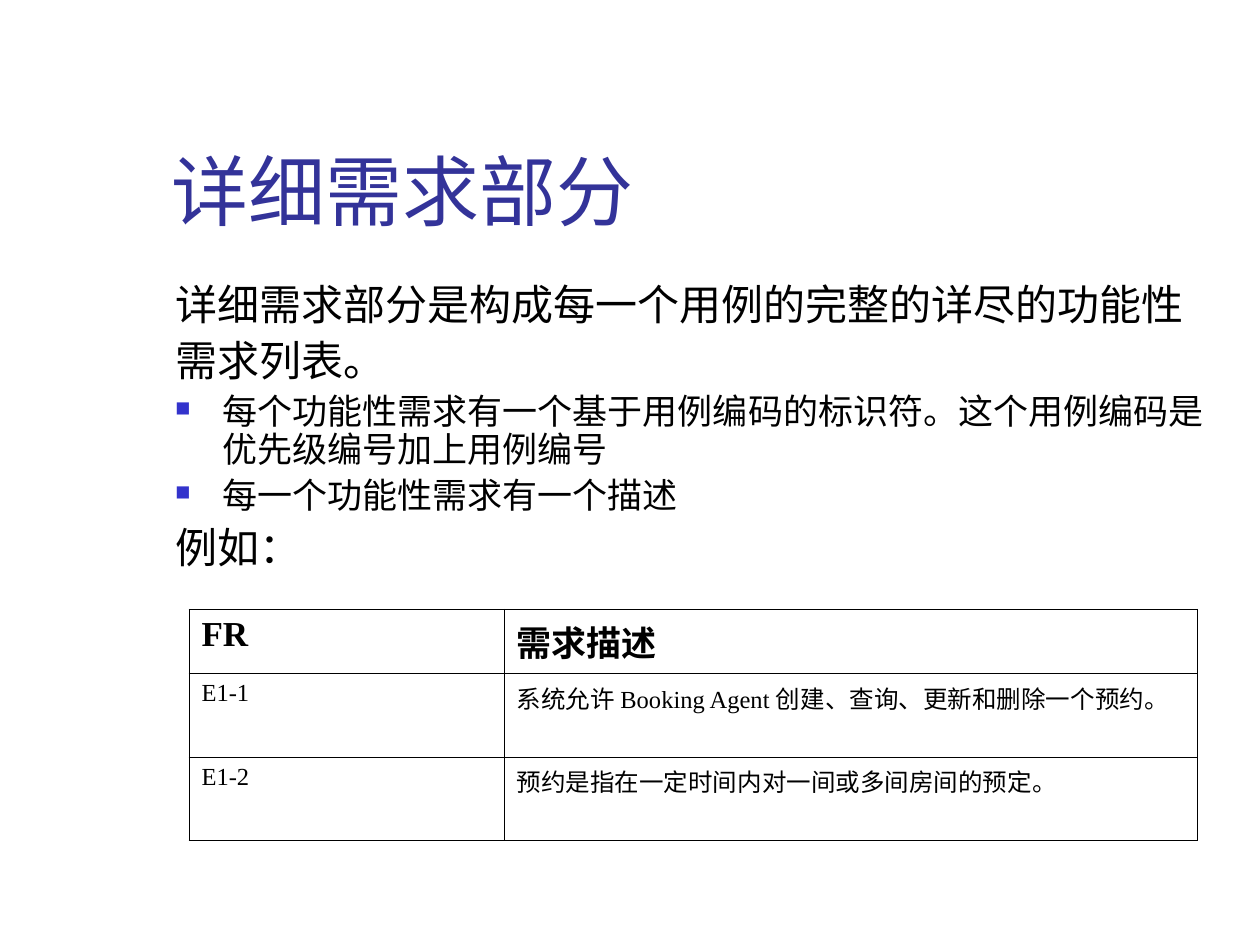
"""Build the slide on the detailed requirements section of a use case."""
from lxml.etree import SubElement
from pptx import Presentation
from pptx.dml.color import RGBColor
from pptx.enum.text import MSO_ANCHOR, MSO_AUTO_SIZE, PP_ALIGN
from pptx.oxml.ns import qn
from pptx.util import Cm, Pt


def color(value):
    """Turn a hex string into a colour."""
    return RGBColor.from_string(value)


def write(paragraph, text, size=24, fill="000000", bold=False, before=0, spacing=1.0):
    """Put formatted text into a paragraph."""
    paragraph.alignment = PP_ALIGN.LEFT
    paragraph.line_spacing = spacing
    paragraph.space_before = Pt(before)
    run = paragraph.add_run()
    run.text = text
    run.font.name = "Times New Roman"
    run.font.size = Pt(size)
    run.font.bold = bold
    run.font.color.rgb = color(fill)


presentation = Presentation()
presentation.slide_width, presentation.slide_height = Cm(25.4), Cm(19.05)
slide = presentation.slides.add_slide(presentation.slide_layouts[5])

title = slide.shapes.title
title.left, title.top, title.width, title.height = Cm(3.2), Cm(1.7), Cm(21.64), Cm(3.18)
title.text_frame.auto_size = MSO_AUTO_SIZE.NONE
title.text_frame.vertical_anchor = MSO_ANCHOR.BOTTOM
write(title.text_frame.paragraphs[0], "详细需求部分", size=44, fill="333399")

body = slide.shapes.add_textbox(Cm(3.28), Cm(5.61), Cm(21.59), Cm(6.25))
body.text_frame.word_wrap = True
body_lines = [
    ("详细需求部分是构成每一个用例的完整的详尽的功能性", False),
    ("需求列表。", False),
    ("每个功能性需求有一个基于用例编码的标识符。这个用例编码是优先级编号加上用例编号", True),
    ("每一个功能性需求有一个描述", True),
    ("例如：", False),
]
for index, (text, bulleted) in enumerate(body_lines):
    paragraph = body.text_frame.add_paragraph() if index else body.text_frame.paragraphs[0]
    write(paragraph, text, size=20 if bulleted else 24, before=5 if bulleted else 6, spacing=0.9)
    properties = paragraph._p.get_or_add_pPr()
    properties.set("marL", str(Cm(0.95)))
    properties.set("indent", str(-Cm(0.95)))
    if bulleted:
        bullet_color = SubElement(properties, qn("a:buClr"))
        SubElement(bullet_color, qn("a:srgbClr"), val="3333CC")
        SubElement(properties, qn("a:buSzPct"), val="60000")
        SubElement(properties, qn("a:buChar"), char="■")
    else:
        SubElement(properties, qn("a:buNone"))

requirements = [
    ("FR", "需求描述"),
    ("E1-1", "系统允许 Booking Agent 创建、查询、更新和删除一个预约。"),
    ("E1-2", "预约是指在一定时间内对一间或多间房间的预定。"),
]
table = slide.shapes.add_table(3, 2, Cm(3.81), Cm(12.28), Cm(20.32), Cm(4.67)).table
table.first_row = table.horz_banding = False
for column, width in zip(table.columns, (6.35, 13.97)):
    column.width = Cm(width)
for row, height in zip(table.rows, (1.3, 1.68, 1.69)):
    row.height = Cm(height)

for row_index, texts in enumerate(requirements):
    header = row_index == 0
    for column_index, text in enumerate(texts):
        cell = table.cell(row_index, column_index)
        before = 0 if header or text == "E1-2" else 3.5
        write(cell.text_frame.paragraphs[0], text, size=20 if header else 14, bold=header, before=before)
        cell_properties = cell._tc.get_or_add_tcPr()
        for side in ("a:lnL", "a:lnR", "a:lnT", "a:lnB"):
            border = SubElement(cell_properties, qn(side), w=str(Pt(0.45)))
            border_fill = SubElement(border, qn("a:solidFill"))
            SubElement(border_fill, qn("a:srgbClr"), val="000000")
        cell.fill.background()

presentation.save("out.pptx")
